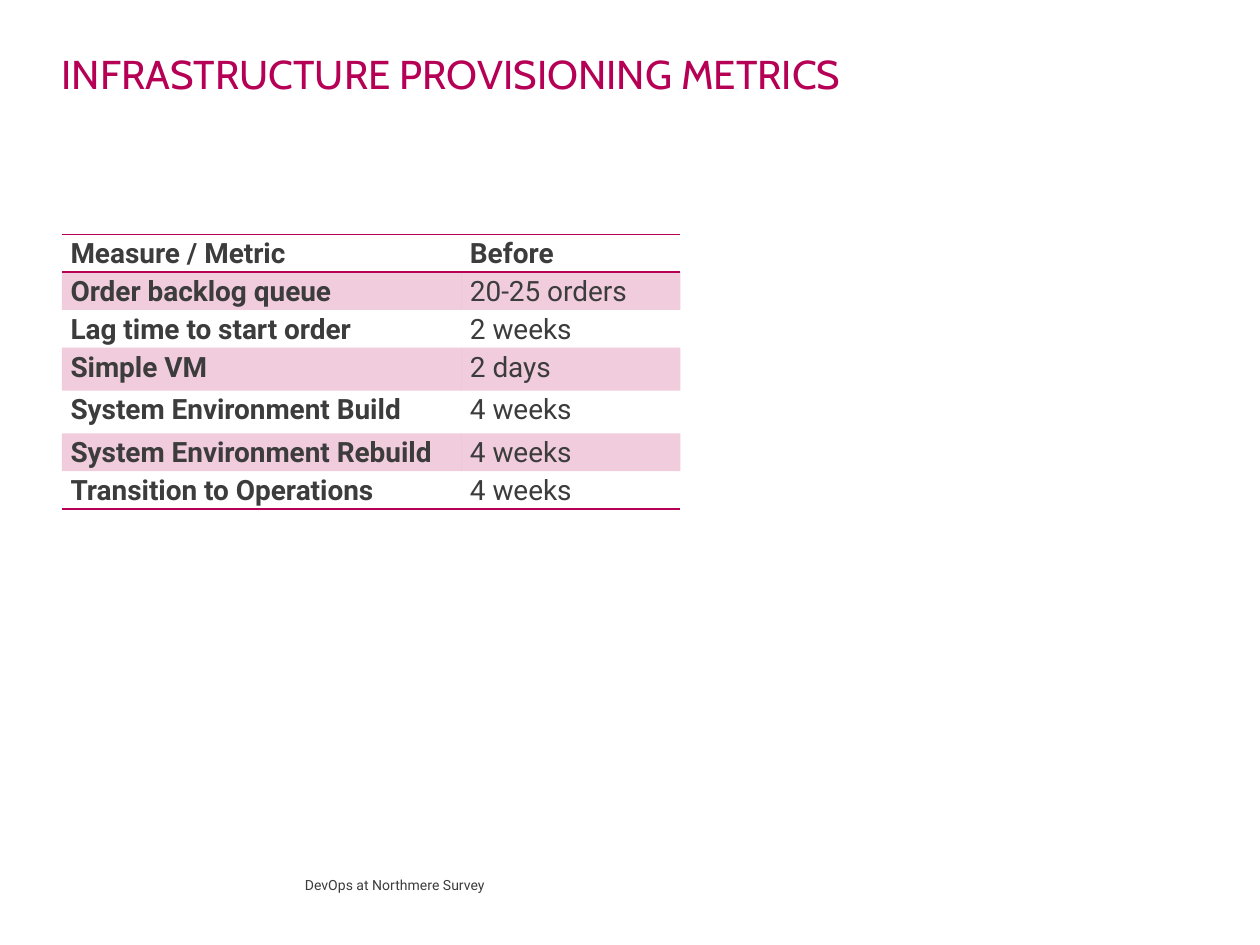
from lxml import etree
from pptx import Presentation
from pptx import util as u
from pptx.dml import color
from pptx.enum import text
from pptx.oxml import ns

PINK, GREY = "B50056", "3C3C3C"
NO_STYLE = "{2D5ABB26-0587-4C30-8999-92F81FD0307C}"
METRICS = [
    ("Measure / Metric", "Before"),
    ("Order backlog queue", "20-25 orders"),
    ("Lag time to start order", "2 weeks"),
    ("Simple VM", "2 days"),
    ("System Environment Build", "4 weeks"),
    ("System Environment Rebuild", "4 weeks"),
    ("Transition to Operations", "4 weeks"),
]
COLUMN_WIDTHS = [3.17, 1.74]
ROW_HEIGHTS = [0.3, 0.3, 0.3, 0.34, 0.34, 0.3, 0.3]


def rgb(value):
    return color.RGBColor.from_string(value)


def add_element(parent, tag, **attributes):
    return etree.SubElement(parent, ns.qn(tag), attributes)


class MetricsSlide:
    """Holds the slide and draws its styled text and table."""

    def __init__(self, slide):
        self.slide = slide

    def style_runs(self, paragraph, size, font, colour, bold=False):
        for run in paragraph.runs:
            run.font.size = u.Pt(size)
            run.font.name = font
            run.font.bold = bold
            run.font.color.rgb = rgb(colour)

    def add_text(self, words, box, size, font, colour, anchor, insets=(0, 0, 0, 0)):
        shape = self.slide.shapes.add_textbox(*map(u.Inches, box))
        frame = shape.text_frame
        frame.word_wrap = True
        frame.vertical_anchor = anchor
        (frame.margin_left, frame.margin_top,
         frame.margin_right, frame.margin_bottom) = map(u.Inches, insets)
        frame.text = words
        self.style_runs(frame.paragraphs[0], size, font, colour)

    def add_border(self, cell, side):
        properties = cell._tc.get_or_add_tcPr()
        line = add_element(properties, f"a:ln{side}", w=str(u.Pt(1)))
        fill = add_element(line, "a:solidFill")
        add_element(fill, "a:srgbClr", val=PINK)

    def shade(self, cell):
        cell.fill.solid()
        cell.fill.fore_color.rgb = rgb(PINK)
        colour = cell._tc.tcPr.find(".//" + ns.qn("a:srgbClr"))
        add_element(colour, "a:alpha", val="20000")

    def fill_cell(self, cell, words, bold):
        cell.margin_left = cell.margin_right = u.Inches(0.07)
        cell.margin_top, cell.margin_bottom = u.Inches(0.01), 0
        cell.text_frame.text = words
        paragraph = cell.text_frame.paragraphs[0]
        paragraph.line_spacing = 1.07
        paragraph.space_after = u.Pt(8)
        self.style_runs(paragraph, 16, "Roboto", GREY, bold)

    def add_table(self, rows, left, top):
        size = sum(COLUMN_WIDTHS), sum(ROW_HEIGHTS)
        frame = self.slide.shapes.add_table(
            len(rows), len(COLUMN_WIDTHS), *map(u.Inches, (left, top, *size)))
        table = frame.table
        table._tbl.tblPr.find(ns.qn("a:tableStyleId")).text = NO_STYLE
        table.first_row = table.horz_banding = False
        for column, width in zip(table.columns, COLUMN_WIDTHS):
            column.width = u.Inches(width)
        for index, (values, height) in enumerate(zip(rows, ROW_HEIGHTS)):
            table.rows[index].height = u.Inches(height)
            for position, words in enumerate(values):
                cell = table.cell(index, position)
                self.fill_cell(cell, words, bold=index == 0 or position == 0)
                if index == 0:
                    self.add_border(cell, "T")
                if index in (0, len(rows) - 1):
                    self.add_border(cell, "B")
                if index % 2:
                    self.shade(cell)


def main():
    presentation = Presentation()
    presentation.slide_width = u.Inches(10)
    presentation.slide_height = u.Inches(7.5)
    page = MetricsSlide(presentation.slides.add_slide(presentation.slide_layouts[6]))
    page.add_text("INFRASTRUCTURE PROVISIONING METRICS", (0.49, 0.39, 9, 0.44),
                  23, "Cabin", PINK, text.MSO_ANCHOR.TOP)
    page.add_text("DevOps at Northmere Survey", (2.42, 6.83, 3.17, 0.39),
                  8, "Roboto", GREY, text.MSO_ANCHOR.MIDDLE, (0, 0.05, 0.1, 0.05))
    page.add_table(METRICS, 0.49, 1.86)
    presentation.save("out.pptx")


if __name__ == "__main__":
    main()
